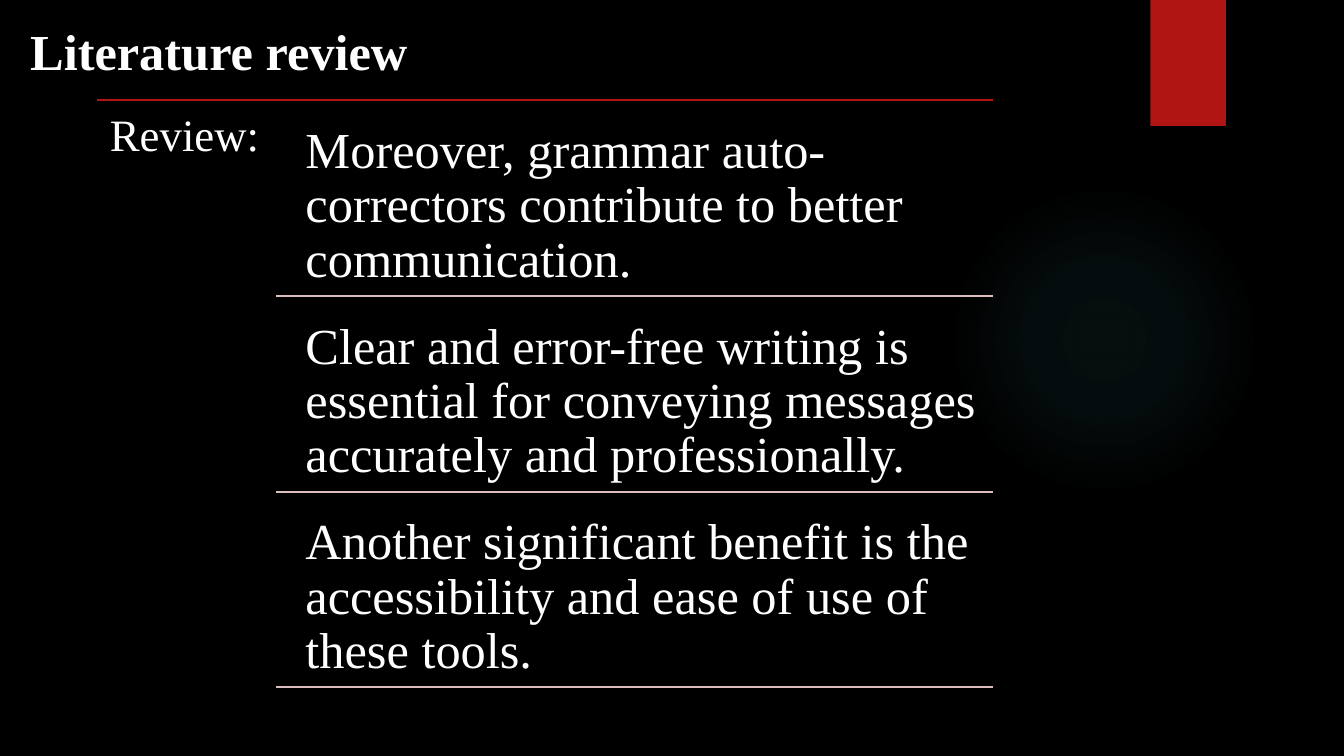
from dataclasses import dataclass

from pptx import Presentation
from pptx.dml.color import RGBColor
from pptx.enum.shapes import MSO_CONNECTOR, MSO_SHAPE
from pptx.enum.text import MSO_ANCHOR, MSO_AUTO_SIZE, PP_ALIGN
from pptx.oxml import parse_xml
from pptx.oxml.ns import nsdecls, qn
from pptx.util import Emu, Pt

# Content
TITLE = "Literature review"
LABEL = "Review:"
POINTS = [
    "Moreover, grammar auto-correctors contribute to better communication.",
    "Clear and error-free writing is essential for conveying messages "
    "accurately and professionally.",
    "Another significant benefit is the accessibility and ease of use of these tools.",
]


@dataclass(frozen=True)
class Theme:
    font: str = "Times New Roman"
    background: str = "000000"
    text: str = "FFFFFF"
    accent: str = "B01513"
    divider: str = "DCBDBD"
    glow: str = "50B9C1"
    large: int = 36
    medium: int = 32
    line_width: float = 1.5


THEME = Theme()

# Layout in px, 100 px to the inch
EMU_PER_PX = 9144
SLIDE_SIZE = (1333, 750)
TITLE_BOX = (20, 15, 494, 71)
GLOW_BOX = (941, 183, 308, 308)
RIBBON_BOX = (1141, 0, 75, 125)
LABEL_BOX = (96, 99, 178, 592)
RULE_RIGHT = 985
DIVIDER_LEFT = 274
POINT_LEFT, POINT_TOP, POINT_WIDTH, POINT_HEIGHT = 288, 109, 698, 185
POINT_STEP = 194
GLOW_STOPS = [(0, 7), (36, 6), (69, 0)]  # position and opacity, percent


def px(*lengths):
    return [Emu(length * EMU_PER_PX) for length in lengths]


def color(value):
    return RGBColor.from_string(value)


def write_text(shape, text, size, insets, bold=False, line_spacing=None):
    frame = shape.text_frame
    frame.word_wrap = True
    frame.auto_size = MSO_AUTO_SIZE.NONE
    frame.vertical_anchor = MSO_ANCHOR.TOP
    horizontal, vertical = px(*insets)
    frame.margin_left = frame.margin_right = horizontal
    frame.margin_top = frame.margin_bottom = vertical
    paragraph = frame.paragraphs[0]
    paragraph.alignment = PP_ALIGN.LEFT
    paragraph.line_spacing = line_spacing
    run = paragraph.add_run()
    run.text = text
    run.font.name = THEME.font
    run.font.size = Pt(size)
    run.font.bold = bold
    run.font.color.rgb = color(THEME.text)


def add_plain_shape(slide, kind, box, fill):
    shape = slide.shapes.add_shape(kind, *px(*box))
    shape.shadow.inherit = False
    shape.fill.solid()
    shape.fill.fore_color.rgb = color(fill)
    shape.line.fill.background()
    return shape


def add_glow(slide):
    glow = add_plain_shape(slide, MSO_SHAPE.OVAL, GLOW_BOX, THEME.glow)
    stops = "".join(
        f'<a:gs pos="{position * 1000}"><a:srgbClr val="{THEME.glow}">'
        f'<a:alpha val="{opacity * 1000}"/></a:srgbClr></a:gs>'
        for position, opacity in GLOW_STOPS
    )
    gradient = parse_xml(
        f'<a:gradFill {nsdecls("a")} rotWithShape="1"><a:gsLst>{stops}</a:gsLst>'
        '<a:path path="circle"><a:fillToRect l="50000" t="50000" r="50000" b="50000"/>'
        "</a:path></a:gradFill>"
    )
    properties = glow.element.spPr
    properties.replace(properties.find(qn("a:solidFill")), gradient)


def add_rule(slide, left, top, line_color):
    rule = slide.shapes.add_connector(
        MSO_CONNECTOR.STRAIGHT, *px(left, top, RULE_RIGHT, top)
    )
    rule.line.color.rgb = color(line_color)
    rule.line.width = Pt(THEME.line_width)
    rule.element.spPr.append(parse_xml(f'<a:effectLst {nsdecls("a")}/>'))


def main():
    presentation = Presentation()
    presentation.slide_width, presentation.slide_height = px(*SLIDE_SIZE)
    slide = presentation.slides.add_slide(presentation.slide_layouts[5])
    slide.background.fill.solid()
    slide.background.fill.fore_color.rgb = color(THEME.background)

    # Decoration
    add_glow(slide)
    add_plain_shape(slide, MSO_SHAPE.RECTANGLE, RIBBON_BOX, THEME.accent)

    # Title
    title = slide.shapes.title
    title.left, title.top, title.width, title.height = px(*TITLE_BOX)
    write_text(title, TITLE, THEME.large, (10, 5), bold=True)

    # Label under the accent rule
    add_rule(slide, LABEL_BOX[0], LABEL_BOX[1], THEME.accent)
    label = slide.shapes.add_textbox(*px(*LABEL_BOX))
    write_text(label, LABEL, THEME.medium, (13, 13), line_spacing=0.9)

    # Points, each closed by a divider
    for index, point in enumerate(POINTS):
        top = POINT_TOP + index * POINT_STEP
        box = slide.shapes.add_textbox(*px(POINT_LEFT, top, POINT_WIDTH, POINT_HEIGHT))
        write_text(box, point, THEME.large, (15, 15), line_spacing=0.9)
        add_rule(slide, DIVIDER_LEFT, top + POINT_HEIGHT, THEME.divider)

    presentation.save("out.pptx")


if __name__ == "__main__":
    main()
